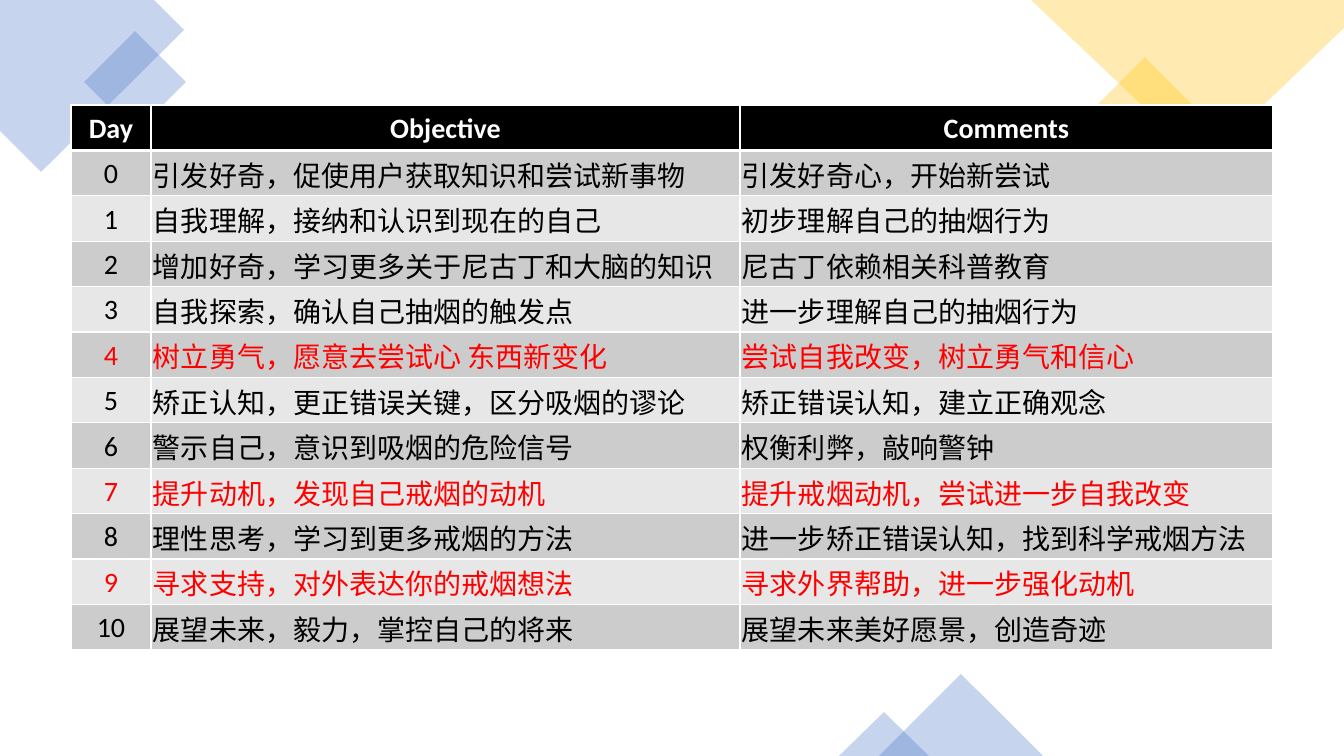
"""Slide with an eleven-day quit-smoking plan table and translucent corner decorations."""
from lxml import etree
from pptx import Presentation
from pptx import util as u
from pptx.dml.color import RGBColor
from pptx.enum import shapes, text
from pptx.oxml.ns import qn

PX = 12192000 / 1344
BLUE, YELLOW, RED, BLACK, WHITE = "4472C4", "FFC000", "FF0000", "000000", "FFFFFF"


def emu(*pixels):
    return [u.Emu(round(p * PX)) for p in pixels]


def paint(target, color, alpha=None):
    target.fill.solid()
    target.fill.fore_color.rgb = RGBColor.from_string(color)
    if alpha is not None:
        target.line.fill.background()
        target.shadow.inherit = False
        tint = target._element.spPr.find(qn("a:solidFill"))[0]
        etree.SubElement(tint, qn("a:alpha"), val=str(alpha * 1000))


prs = Presentation()
prs.slide_width, prs.slide_height = emu(1344, 756)
slide = prs.slides.add_slide(prs.slide_layouts[6])

corners = [
    (BLUE, [(154, 0), (0, 0), (0, 131), (41, 172), (184, 30)]),
    (YELLOW, [(1344, 0), (1031, 0), (1203, 163), (1344, 28)]),
]
for color, points in corners:
    outline = slide.shapes.build_freeform(*points[0], scale=PX)
    outline.add_line_segments(points[1:], close=True)
    paint(outline.convert_to_shape(), color, 30)

SQUARE, PEAK = shapes.MSO_SHAPE.RECTANGLE, shapes.MSO_SHAPE.ISOSCELES_TRIANGLE
accents = [
    (SQUARE, BLUE, 315, (99, 46, 72, 72)),
    (SQUARE, YELLOW, 315, (1107, 73, 76, 76)),
    (PEAK, BLUE, 0, (879, 674, 164, 82)),
    (PEAK, BLUE, 0, (839, 712, 90, 44)),
]
for kind, color, angle, box in accents:
    accent = slide.shapes.add_shape(kind, *emu(*box))
    accent.rotation = angle
    paint(accent, color, 30)

plan = [
    ("Day", "Objective", "Comments"),
    ("0", "引发好奇，促使用户获取知识和尝试新事物", "引发好奇心，开始新尝试"),
    ("1", "自我理解，接纳和认识到现在的自己", "初步理解自己的抽烟行为"),
    ("2", "增加好奇，学习更多关于尼古丁和大脑的知识", "尼古丁依赖相关科普教育"),
    ("3", "自我探索，确认自己抽烟的触发点", "进一步理解自己的抽烟行为"),
    ("4", "树立勇气，愿意去尝试心 东西新变化", "尝试自我改变，树立勇气和信心"),
    ("5", "矫正认知，更正错误关键，区分吸烟的谬论", "矫正错误认知，建立正确观念"),
    ("6", "警示自己，意识到吸烟的危险信号", "权衡利弊，敲响警钟"),
    ("7", "提升动机，发现自己戒烟的动机", "提升戒烟动机，尝试进一步自我改变"),
    ("8", "理性思考，学习到更多戒烟的方法", "进一步矫正错误认知，找到科学戒烟方法"),
    ("9", "寻求支持，对外表达你的戒烟想法", "寻求外界帮助，进一步强化动机"),
    ("10", "展望未来，毅力，掌控自己的将来", "展望未来美好愿景，创造奇迹"),
]
key_days = {"4", "7", "9"}
column_widths = emu(80, 589, 533)

schedule = slide.shapes.add_table(len(plan), 3, *emu(71, 105, 1202, 545)).table
for column, width in zip(schedule.columns, column_widths):
    column.width = width

for r, entries in enumerate(plan):
    header = r == 0
    fill = BLACK if header else ("E7E7E7", "CCCCCC")[r % 2]
    ink = WHITE if header else RED if entries[0] in key_days else BLACK
    for c, entry in enumerate(entries):
        cell = schedule.cell(r, c)
        cell.vertical_anchor = text.MSO_ANCHOR.MIDDLE
        cell.margin_left, cell.margin_right, cell.margin_top, cell.margin_bottom = emu(2, 2, 2, 0)
        cell.text_frame.text = entry
        paragraph = cell.text_frame.paragraphs[0]
        centred = header or c == 0
        paragraph.alignment = text.PP_ALIGN.CENTER if centred else text.PP_ALIGN.LEFT
        font = paragraph.runs[0].font
        font.name, font.size, font.bold = "Calibri", u.Pt(20), header
        font.color.rgb = RGBColor.from_string(ink)
        for side in "LRTB":
            thick = (r, side) in ((0, "B"), (1, "T"))
            border = etree.SubElement(cell._tc.get_or_add_tcPr(), qn("a:ln" + side),
                                      w=str(u.Pt(3 if thick else 1)))
            stroke = etree.SubElement(border, qn("a:solidFill"))
            etree.SubElement(stroke, qn("a:srgbClr"), val=WHITE)
        paint(cell, fill)

prs.save("out.pptx")
